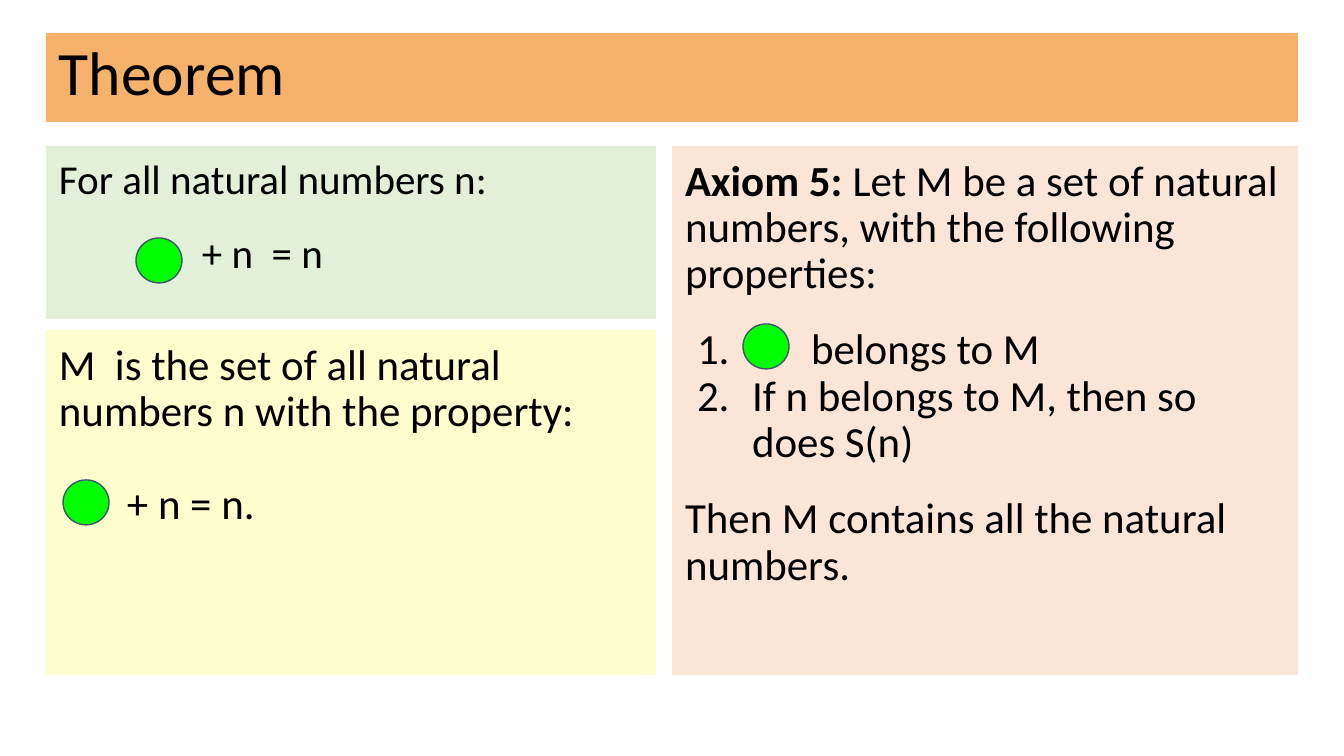
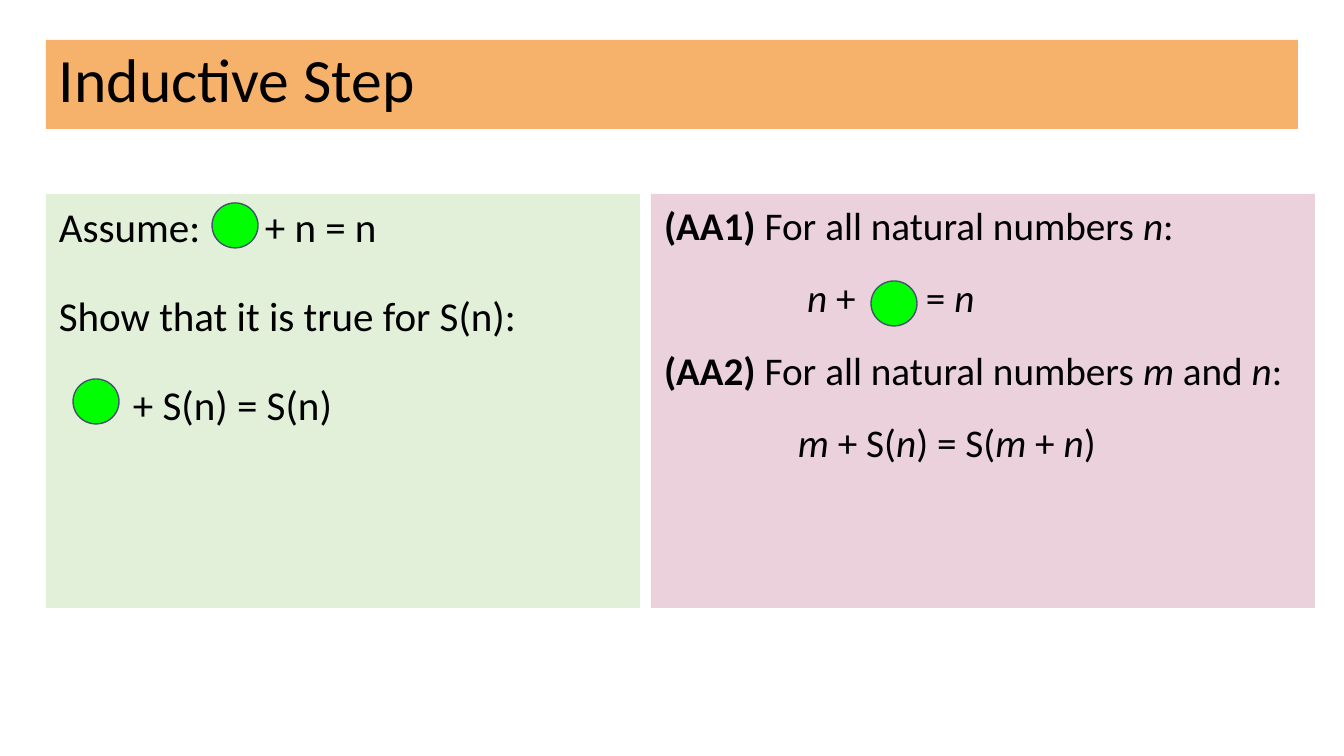
from pptx import Presentation
from pptx.dml.color import RGBColor
from pptx.enum.shapes import MSO_SHAPE
from pptx.enum.text import MSO_ANCHOR, PP_ALIGN
from pptx.oxml.xmlchemy import OxmlElement
from pptx.util import Pt

PX = 914400 / 134.4
FONT = "Calibri"
INSET = 13
ZERO_W, ZERO_H = 46, 45
C = {
    "title": "F6B26B", "green": "E2F0D9", "yellow": "FDFDCD",
    "peach": "FBE5D6", "pink": "EAD1DC", "zero": "00FF00",
    "outline": "44546A", "text": "000000",
}


def px(n):
    return round(n * PX)


def rgb(name):
    return RGBColor.from_string(C[name])


def add_shape(s, kind, box, fill):
    sp = s.shapes.add_shape(kind, *(px(n) for n in box))
    sp.shadow.inherit = False
    sp.fill.solid()
    sp.fill.fore_color.rgb = rgb(fill)
    sp.line.fill.background()
    return sp


def para(*runs, left=0, first=0, before=0, number=None, tabs=()):
    """A paragraph: runs are (text, style), style holding b and/or i."""
    return dict(runs=runs, left=left, first=first, before=before,
                number=number, tabs=tabs)


def format_para(p, item):
    pPr = p._p.get_or_add_pPr()
    pPr.set("marL", str(px(item["left"])))
    # LibreOffice drops the tab stops of a paragraph that sets an indent
    if not item["tabs"]:
        pPr.set("indent", str(px(item["first"])))
    if item["number"]:
        bu = OxmlElement("a:buAutoNum")
        bu.set("type", "arabicPeriod")
        bu.set("startAt", str(item["number"]))
        pPr.append(bu)
    else:
        pPr.append(OxmlElement("a:buNone"))
    if item["tabs"]:
        tab_list = OxmlElement("a:tabLst")
        for pos in item["tabs"]:
            tab = OxmlElement("a:tab")
            tab.set("pos", str(px(pos)))
            tab.set("algn", "l")
            tab_list.append(tab)
        pPr.append(tab_list)
    p.alignment = PP_ALIGN.LEFT
    p.line_spacing = 0.9
    p.space_before = Pt(item["before"])


def add_panel(s, box, fill, size, paras, zeros=(), anchor=MSO_ANCHOR.TOP):
    """Filled text panel; zeros are offsets of green discs from its corner."""
    sp = add_shape(s, MSO_SHAPE.RECTANGLE, box, fill)
    tf = sp.text_frame
    tf.word_wrap = True
    tf.vertical_anchor = anchor
    tf.margin_left = tf.margin_right = px(INSET)
    tf.margin_top = tf.margin_bottom = px(INSET)
    for i, item in enumerate(paras):
        p = tf.add_paragraph() if i else tf.paragraphs[0]
        format_para(p, item)
        for text, style in item["runs"]:
            r = p.add_run()
            r.text = text
            r.font.name = FONT
            r.font.size = Pt(size)
            r.font.color.rgb = rgb("text")
            r.font.bold = "b" in style
            r.font.italic = "i" in style

    # The disc stands for the number zero
    for dx, dy in zeros:
        disc = add_shape(s, MSO_SHAPE.OVAL,
                         (box[0] + dx, box[1] + dy, ZERO_W, ZERO_H), "zero")
        disc.line.color.rgb = rgb("outline")
        disc.line.width = Pt(0.75)


def add_title(s, top, text):
    add_panel(s, (46, top, 1252, 89), "title", 33, [para((text, ""))],
              anchor=MSO_ANCHOR.BOTTOM)


def theorem_slide(s):
    add_title(s, 33, "Theorem")
    # Statement
    add_panel(s, (46, 146, 610, 173), "green", 22, [
        para(("For all natural numbers n:", "")),
        para(("+ n  = n", ""), left=143, before=16),
    ], [(90, 92)])
    # Set used in the proof
    add_panel(s, (46, 330, 610, 345), "yellow", 23, [
        para(("M  is the set of all natural numbers n with the property:", "")),
        para(("+ n = n.", ""), left=68, before=25),
    ], [(17, 150)])
    # Induction axiom
    add_panel(s, (672, 146, 626, 529), "peach", 23, [
        para(("Axiom 5:", "b"), (" Let M be a set of natural numbers, "
                                 "with the following properties:", "")),
        para(("belongs to M", ""), left=126, first=-114, before=16, number=1),
        para(("If n belongs to M, then so does S(n)", ""),
             left=67, first=-55, number=2),
        para(("Then M contains all the natural numbers.", ""), before=16),
    ], [(71, 178)])


def inductive_slide(s):
    add_title(s, 40, "Inductive Step")
    # Assumption and goal
    add_panel(s, (46, 194, 594, 414), "green", 22, [
        para(("Assume:\t+ n = n", ""), tabs=(206,)),
        para(("Show that it is true for S(n):", ""), before=24),
        para(("+ S(n) = S(n)", ""), left=74, before=24),
    ], [(166, 9), (27, 185)])
    # Addition axioms
    add_panel(s, (651, 194, 664, 414), "pink", 21, [
        para(("(AA1)", "b"), (" For all natural numbers ", ""),
             ("n", "i"), (":", "")),
        para(("\tn", "i"), (" +\t= ", ""), ("n", "i"),
             before=16, tabs=(143, 262)),
        para(("(AA2)", "b"), (" For all natural numbers ", ""), ("m", "i"),
             (" and ", ""), ("n", "i"), (":", ""), before=16),
        para(("m", "i"), (" + S(", ""), ("n", "i"), (") = S(", ""),
             ("m", "i"), (" + ", ""), ("n", "i"), (")", ""),
             left=134, before=16),
    ], [(220, 87)])


def main():
    prs = Presentation()
    prs.slide_width, prs.slide_height = px(1344), px(756)
    for build in (theorem_slide, inductive_slide):
        build(prs.slides.add_slide(prs.slide_layouts[6]))
    prs.save("out.pptx")


if __name__ == "__main__":
    main()
